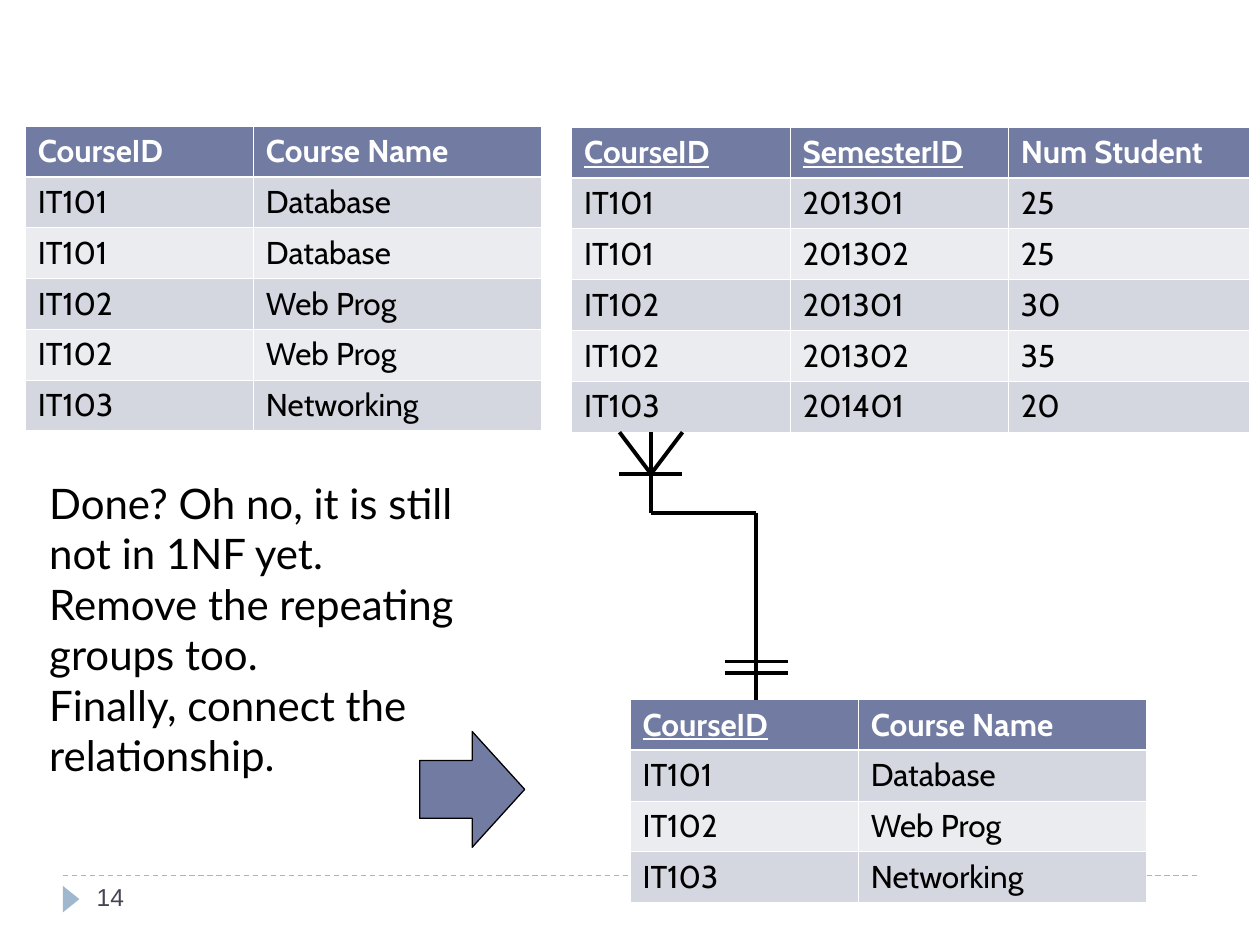
from lxml import etree
from pptx import Presentation
from pptx.dml.color import RGBColor
from pptx.enum.dml import MSO_LINE
from pptx.enum.shapes import MSO_CONNECTOR, MSO_SHAPE
from pptx.oxml.ns import qn
from pptx.util import Pt

STRAIGHT = MSO_CONNECTOR.STRAIGHT
TRIANGLE = MSO_SHAPE.ISOSCELES_TRIANGLE
RIGHT_ARROW = MSO_SHAPE.RIGHT_ARROW
DASH = MSO_LINE.DASH

BLACK = RGBColor(0x00, 0x00, 0x00)
WHITE = RGBColor(0xFF, 0xFF, 0xFF)
INDIGO = RGBColor(0x72, 0x7C, 0xA3)
BAND_DARK = RGBColor(0xD5, 0xD7, 0xE0)
BAND_LIGHT = RGBColor(0xEB, 0xEC, 0xF0)
PALE_BLUE = RGBColor(0x9F, 0xB8, 0xCD)
SLATE = RGBColor(0x46, 0x46, 0x53)

ROW_HEIGHT = 29.04
THIN, THICK = 0.45, 1.47

COURSES = [("IT101", "Database"), ("IT102", "Web Prog"), ("IT103", "Networking")]
REPEATED_COURSES = [COURSES[i] for i in (0, 0, 1, 1, 2)]
ENROLMENTS = [
    ("IT101", "201301", "25"),
    ("IT101", "201302", "25"),
    ("IT102", "201301", "30"),
    ("IT102", "201302", "35"),
    ("IT103", "201401", "20"),
]
MESSAGE = [
    ["Done? Oh no, it is still not in 1NF yet.", "Remove the repeating", "groups too."],
    ["Finally, connect the relationship."],
]


def add_run(p, text, font, size, color, bold=False, underline=False):
    r = p.add_run()
    r.text = text
    r.font.name = font
    r.font.size = Pt(size)
    r.font.color.rgb = color
    r.font.bold = bold
    r.font.underline = underline


def add_line(s, x1, y1, x2, y2, color=BLACK, width=2.25):
    line = s.shapes.add_connector(STRAIGHT, Pt(x1), Pt(y1), Pt(x2), Pt(y2))
    line.line.color.rgb = color
    line.line.width = Pt(width)
    etree.SubElement(line._element.spPr, qn("a:effectLst"))
    return line


def add_solid(s, kind, left, top, width, height, color):
    sp = s.shapes.add_shape(kind, Pt(left), Pt(top), Pt(width), Pt(height))
    sp.shadow.inherit = False
    sp.fill.solid()
    sp.fill.fore_color.rgb = color
    return sp


def set_borders(cell, top, bottom):
    """Give the cell white borders, with the top and bottom widths in points."""
    sides = {"lnL": THIN, "lnR": THIN, "lnT": top, "lnB": bottom}
    tc_pr = cell._tc.get_or_add_tcPr()
    for i, (side, width) in enumerate(sides.items()):
        ln = etree.Element(qn(f"a:{side}"), w=str(int(Pt(width))))
        fill = etree.SubElement(ln, qn("a:solidFill"))
        etree.SubElement(fill, qn("a:srgbClr"), val=str(WHITE))
        tc_pr.insert(i, ln)


def add_relation(s, left, top, widths, header, rows, keys=()):
    """Draw a relation as a banded table, with its key columns underlined."""
    cells = [header, *rows]
    table = s.shapes.add_table(
        len(cells), len(header), Pt(left), Pt(top),
        Pt(sum(widths)), Pt(ROW_HEIGHT * len(cells))).table
    for column, width in zip(table.columns, widths):
        column.width = Pt(width)
    for i, values in enumerate(cells):
        table.rows[i].height = Pt(ROW_HEIGHT)
        is_header = i == 0
        band = INDIGO if is_header else BAND_DARK if i % 2 else BAND_LIGHT
        for j, value in enumerate(values):
            cell = table.cell(i, j)
            cell.fill.solid()
            cell.fill.fore_color.rgb = band
            set_borders(cell, THICK if i == 1 else THIN, THICK if is_header else THIN)
            add_run(cell.text_frame.paragraphs[0], value, "Cabin", 18,
                    WHITE if is_header else BLACK, is_header,
                    is_header and value in keys)


def add_message(s, left, top, width, height):
    tf = s.shapes.add_textbox(Pt(left), Pt(top), Pt(width), Pt(height)).text_frame
    tf.word_wrap = True
    for i, lines in enumerate(MESSAGE):
        p = tf.add_paragraph() if i else tf.paragraphs[0]
        for j, text in enumerate(lines):
            if j:
                p.add_line_break()
            add_run(p, text, "Lato", 24, BLACK)


def add_relationship(s, many_x, top, one_x, bottom):
    """Join the many end (crow's foot, above) to the one end (double bar, below)."""
    half = 18
    foot, bend = top + 23.8, top + 46
    add_line(s, many_x, top, many_x, bend)
    add_line(s, many_x, bend, one_x, bend)
    add_line(s, one_x, bend, one_x, bottom)
    for toe in (many_x + half, many_x - half):
        add_line(s, many_x, foot, toe, top)
    for x, y in ((many_x, foot), (one_x, bottom - 22), (one_x, bottom - 15.5)):
        add_line(s, x - half, y, x + half, y)


def add_footer(s, left, top, width, number):
    add_line(s, left, top, left + width, top, PALE_BLUE, 0.75).line.dash_style = DASH
    marker = add_solid(s, TRIANGLE, left - 2.9, top + 8.7, 15.1, 9.4, PALE_BLUE)
    marker.rotation = 90
    marker.line.fill.background()
    tf = s.shapes.add_textbox(Pt(left + 12.2), Pt(top), Pt(156), Pt(28.8)).text_frame
    tf.word_wrap = True
    add_run(tf.paragraphs[0], number, "Arial", 14, SLATE)


def main():
    prs = Presentation()
    prs.slide_width, prs.slide_height = Pt(720), Pt(540)
    s = prs.slides.add_slide(prs.slide_layouts[6])

    course_header, course_widths = ("CourseID", "Course Name"), (130.4, 164.8)
    add_footer(s, 36, 500.4, 648, "14")
    add_relation(s, 14.4, 72, course_widths, course_header, REPEATED_COURSES)
    add_message(s, 21, 269.3, 273, 180)
    add_relation(s, 360, 399.6, course_widths, course_header, COURSES, ("CourseID",))
    arrow = add_solid(s, RIGHT_ARROW, 239.8, 418, 60, 66.2, INDIGO)
    arrow.line.color.rgb = BLACK
    arrow.line.width = Pt(0.75)
    add_relation(s, 326.6, 72.7, (124.8, 124.8, 137.7),
                 ("CourseID", "SemesterID", "Num Student"), ENROLMENTS,
                 ("CourseID", "SemesterID"))
    add_relationship(s, 372, 247, 432, 400)
    prs.save("out.pptx")


if __name__ == "__main__":
    main()
